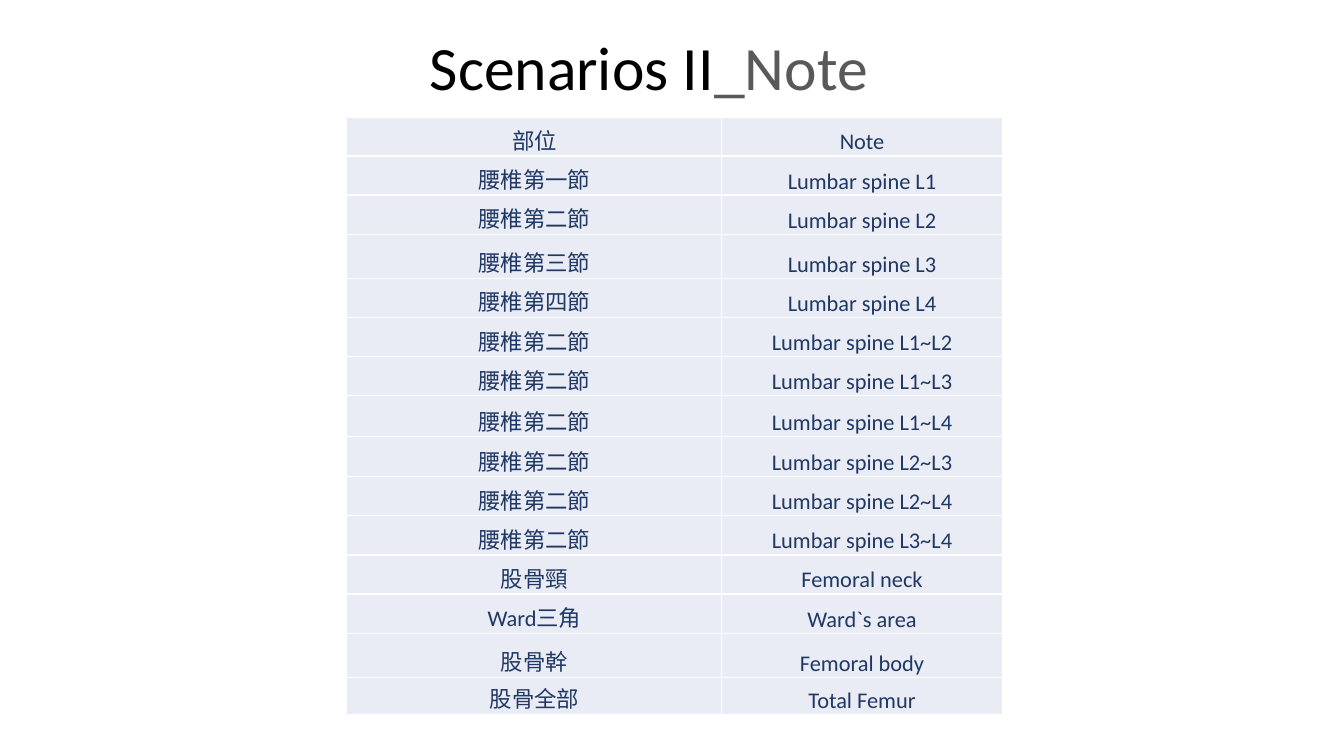
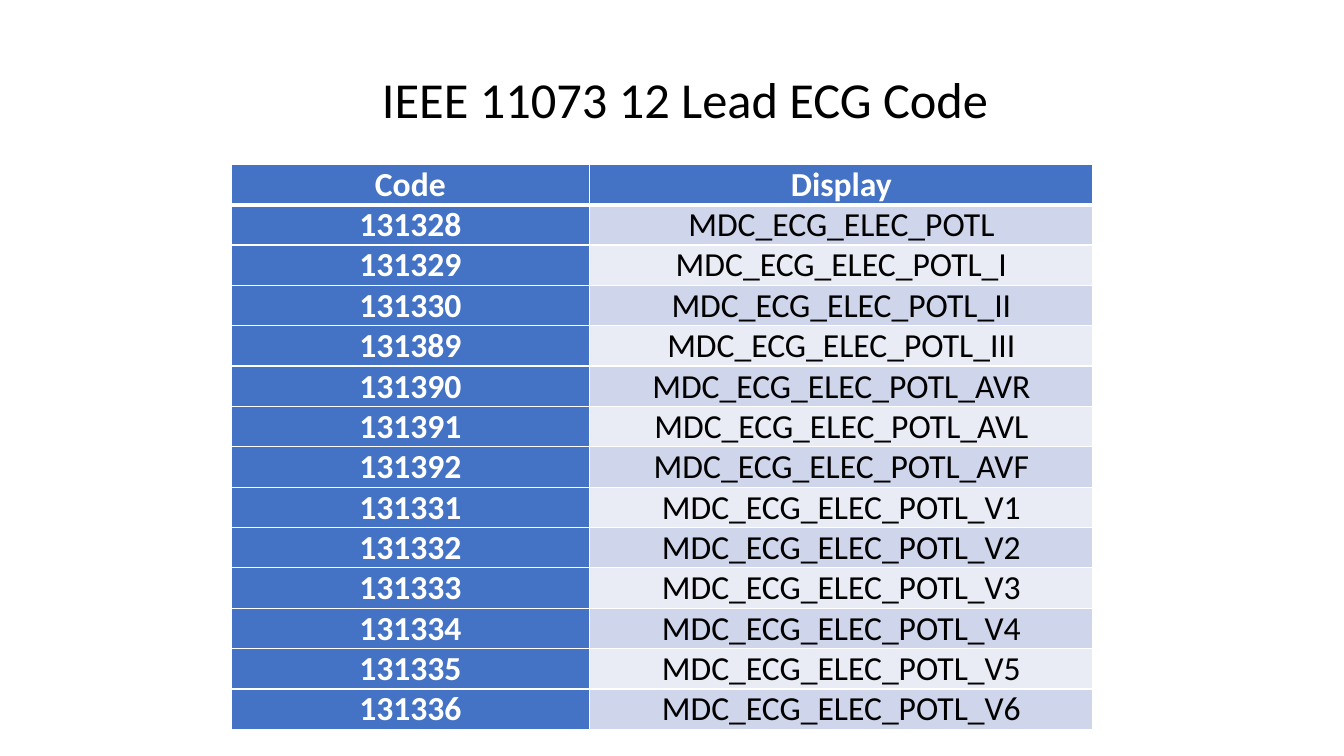
from lxml import etree
from pptx import Presentation, util as u
from pptx.dml.color import RGBColor
from pptx.enum import text
from pptx.oxml import ns

FONT = "Calibri"
BLACK, GREY, WHITE, NAVY = "000000", "595959", "FFFFFF", "203864"
BLUE, BAND_DARK, BAND_LIGHT = "4472C4", "CFD5EA", "E9EBF5"

LUMBAR_RANGES = ["L1~L2", "L1~L3", "L1~L4", "L2~L3", "L2~L4", "L3~L4"]
BODY_SITES = [
    ("部位", "Note"),
    *[(f"腰椎第{numeral}節", f"Lumbar spine L{level}")
      for level, numeral in enumerate("一二三四", 1)],
    *[("腰椎第二節", f"Lumbar spine {levels}") for levels in LUMBAR_RANGES],
    ("股骨頸", "Femoral neck"),
    ("Ward三角", "Ward`s area"),
    ("股骨幹", "Femoral body"),
    ("股骨全部", "Total Femur"),
]
TALLER_OR_SHORTER = {3: 0.44, 7: 0.41, 8: 0.4, 13: 0.44, 14: 0.37}

LIMB_LEADS = [
    ("131328", ""), ("131329", "_I"), ("131330", "_II"), ("131389", "_III"),
    ("131390", "_AVR"), ("131391", "_AVL"), ("131392", "_AVF"),
]
CHEST_LEADS = [(str(131330 + lead), f"_V{lead}") for lead in range(1, 7)]
LEAD_CODES = [("Code", "Display")] + [
    (code, f"MDC_ECG_ELEC_POTL{suffix}")
    for code, suffix in LIMB_LEADS + CHEST_LEADS
]


def rgb(value):
    """Turn a hex string into a colour."""
    return RGBColor.from_string(value)


def set_values(target, values):
    """Set each named attribute of the target."""
    for name, value in values.items():
        setattr(target, name, value)


def add_run(paragraph, wording, size, color, bold=False):
    """Add one formatted run to a paragraph."""
    run = paragraph.add_run()
    run.text = wording
    set_values(run.font, {"name": FONT, "size": u.Pt(size), "bold": bold})
    run.font.color.rgb = rgb(color)


def add_title(slide, box, size, pieces, alignment):
    """Add a title made of wording and colour pairs."""
    frame = slide.shapes.add_textbox(*map(u.Inches, box)).text_frame
    frame.word_wrap = True
    paragraph = frame.paragraphs[0]
    paragraph.alignment = alignment
    for wording, color in pieces:
        add_run(paragraph, wording, size, color)


def set_borders(cell, bottom_width):
    """Draw white lines around a cell."""
    properties = cell._tc.get_or_add_tcPr()
    widths = {"lnL": 1, "lnR": 1, "lnT": 1, "lnB": bottom_width}
    for position, (tag, width) in enumerate(widths.items()):
        line = etree.Element(ns.qn(f"a:{tag}"), w=str(u.Pt(width)))
        fill = etree.SubElement(line, ns.qn("a:solidFill"))
        etree.SubElement(fill, ns.qn("a:srgbClr"), val=WHITE)
        properties.insert(position, line)


def add_grid(slide, position, widths, heights, rows, size, cell_format, style):
    """Add a table whose style function gives fill, colour, bold and bottom line."""
    extent = (sum(widths), sum(heights))
    table = slide.shapes.add_table(
        len(rows), len(widths), *map(u.Inches, position + extent)).table
    for column, width in zip(table.columns, widths):
        column.width = u.Inches(width)
    for row, height in zip(table.rows, heights):
        row.height = u.Inches(height)
    for row_index, row in enumerate(rows):
        for column_index, wording in enumerate(row):
            fill, color, bold, bottom_width = style(row_index, column_index)
            cell = table.cell(row_index, column_index)
            set_values(cell, cell_format)
            cell.fill.solid()
            cell.fill.fore_color.rgb = rgb(fill)
            set_borders(cell, bottom_width)
            paragraph = cell.text_frame.paragraphs[0]
            paragraph.alignment = text.PP_ALIGN.CENTER
            add_run(paragraph, wording, size, color, bold)


def site_style(row, column):
    """Give every body site cell the same look."""
    return BAND_LIGHT, NAVY, False, 1


def lead_style(row, column):
    """Give headings a blue fill and the other cells alternating bands."""
    if row == 0 or column == 0:
        return BLUE, WHITE, True, 3 if row == 0 else 1
    return BAND_DARK if row % 2 else BAND_LIGHT, BLACK, False, 1


def build_sites(slide):
    """Build the slide of body sites."""
    shares = [TALLER_OR_SHORTER.get(row, 0.39) for row in range(len(BODY_SITES))]
    heights = [5.93 * share / sum(shares) for share in shares]
    margin = u.Inches(0.01)
    cell_format = {
        "vertical_anchor": text.MSO_ANCHOR.BOTTOM, "margin_left": margin,
        "margin_top": margin, "margin_right": margin, "margin_bottom": 0,
    }
    add_grid(slide, (3.44, 1.16), (3.72, 2.78), heights, BODY_SITES, 16,
             cell_format, site_style)
    add_title(slide, (1.14, 0.24, 10.59, 0.89), 44,
              [("Scenarios II", BLACK), ("_Note", GREY)], text.PP_ALIGN.CENTER)


def build_leads(slide):
    """Build the slide of lead codes."""
    margin = u.Inches(0.07)
    cell_format = {
        "vertical_anchor": text.MSO_ANCHOR.TOP, "margin_left": margin,
        "margin_top": 0, "margin_right": margin, "margin_bottom": 0,
    }
    add_grid(slide, (2.29, 1.63), (3.56, 4.99), [0.4] * len(LEAD_CODES),
             LEAD_CODES, 24, cell_format, lead_style)
    add_title(slide, (3.69, 0.63, 6.39, 0.71), 36,
              [("IEEE 11073 12 Lead ECG Code", BLACK)], text.PP_ALIGN.LEFT)


def main():
    """Build and save the presentation."""
    presentation = Presentation()
    set_values(presentation, {"slide_width": u.Inches(13.33),
                              "slide_height": u.Inches(7.5)})
    for build in (build_sites, build_leads):
        build(presentation.slides.add_slide(presentation.slide_layouts[6]))
    presentation.save("out.pptx")


if __name__ == "__main__":
    main()
